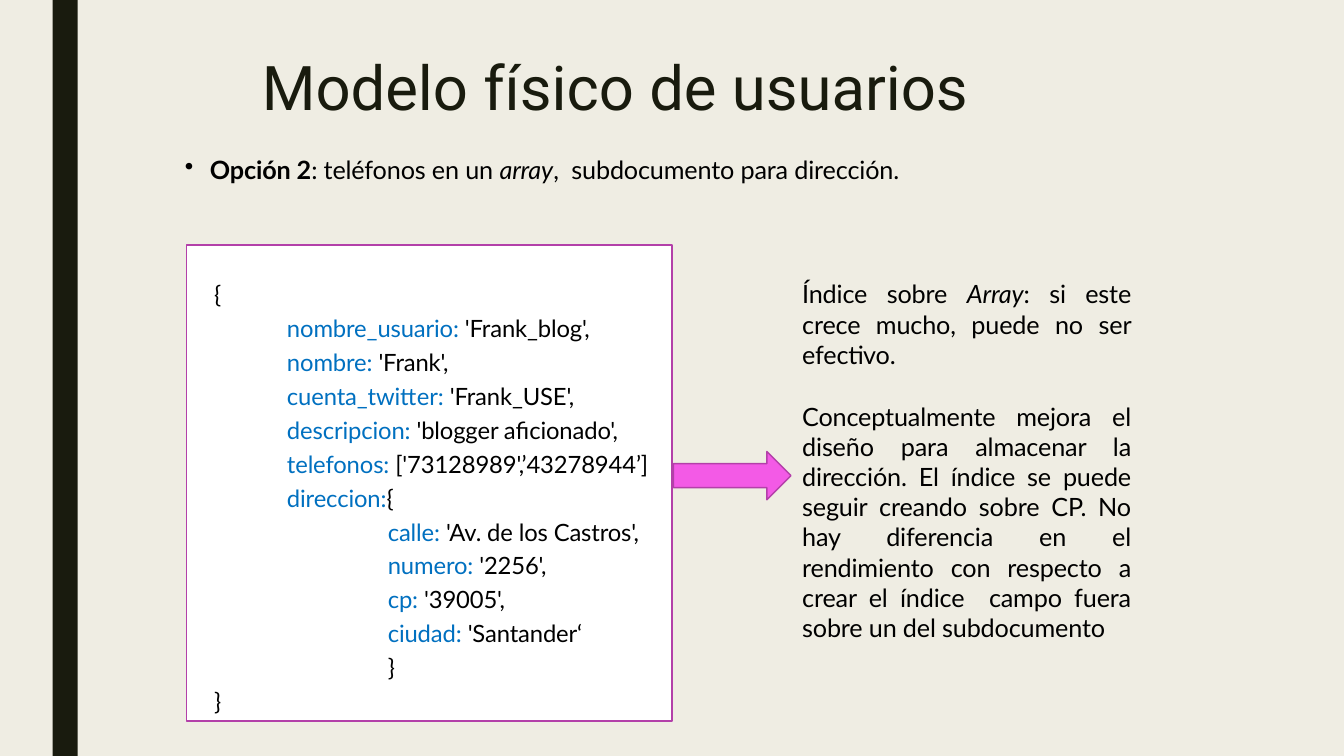
from lxml import etree
from pptx import Presentation
from pptx.dml.color import RGBColor
from pptx.enum import shapes, text
from pptx.oxml.ns import qn
from pptx.util import Pt

HUES = {"back": "EFEDE3", "dark": "191B0E", "ink": "000000", "key": "0070C0",
        "paper": "FFFFFF", "edge": "B340A9", "arrow": "F35AE6"}


def hue(name):
    return RGBColor.from_string(HUES[name])


def put(par, words, size=18, face="Lato", color="ink", bold=False,
        slant=False, track=-10):
    """Add one run; track is letter spacing in hundredths of a point."""
    run = par.add_run()
    run.text = words
    font = run.font
    font.size, font.name = Pt(size), face
    font.bold, font.italic = bold, slant
    font.color.rgb = hue(color)
    if track:
        run._r.get_or_add_rPr().set("spc", str(track))


class Page:
    def __init__(self, deck):
        self.slide = deck.slides.add_slide(deck.slide_layouts[6])
        fill = self.slide.background.fill
        fill.solid()
        fill.fore_color.rgb = hue("back")

    def frame(self, item, inset=0, anchor=text.MSO_ANCHOR.TOP):
        body = item.text_frame
        body.word_wrap = True
        body.margin_left = body.margin_right = body.margin_bottom = 0
        body.margin_top = Pt(inset)
        body.vertical_anchor = anchor
        return body

    def box(self, left, top, width, height, **style):
        item = self.slide.shapes.add_textbox(
            Pt(left), Pt(top), Pt(width), Pt(height))
        return self.frame(item, **style)

    def shape(self, kind, left, top, width, height, fill, line=None):
        item = self.slide.shapes.add_shape(
            kind, Pt(left), Pt(top), Pt(width), Pt(height))
        item.shadow.inherit = False
        item.fill.solid()
        item.fill.fore_color.rgb = hue(fill)
        if line:
            item.line.color.rgb = hue(line)
            item.line.width = Pt(1)
        else:
            item.line.fill.background()
        return item

    def par(self, body, first, gap=0, left=0, hang=0,
            align=text.PP_ALIGN.LEFT):
        par = body.paragraphs[0] if first else body.add_paragraph()
        par.alignment = align
        if not first:
            par.space_before = Pt(gap)
        props = par._p.get_or_add_pPr()
        props.set("marL", str(Pt(left)))
        props.set("indent", str(Pt(-hang)))
        if hang:
            etree.SubElement(props, qn("a:buChar")).set("char", "•")
        return par


CODE = [
    (20, "", "{"),
    (72, "nombre_usuario: ", "'Frank_blog',"),
    (72, "nombre: ", "'Frank',"),
    (72, "cuenta_twitter: ", "'Frank_USE',"),
    (72, "descripcion: ", "'blogger aficionado',"),
    (72, "telefonos: ", "['73128989',’43278944’]"),
    (72, "direccion:", "{"),
    (144, "calle: ", "'Av. de los Castros',"),
    (144, "numero: ", "'2256',"),
    (144, "cp: ", "'39005',"),
    (144, "ciudad: ", "'Santander‘"),
    (144, "", "}"),
    (20, "", "}"),
]

NOTES = [
    [("Índice sobre ", False), ("Array", True),
     (": si este crece mucho, puede no ser efectivo.", False)],
    [("Conceptualmente mejora el diseño para almacenar la dirección. "
      "El índice se puede seguir creando sobre CP. No hay diferencia en el "
      "rendimiento con respecto a crear el índice  campo fuera "
      "sobre un del subdocumento", False)],
]


def main():
    deck = Presentation()
    deck.slide_width, deck.slide_height = Pt(960), Pt(540)
    page = Page(deck)
    kinds = shapes.MSO_SHAPE

    # Side bar and title
    page.shape(kinds.RECTANGLE, 37.5, 0, 18, 540, "dark")
    title = page.box(186, 37, 528, 48, anchor=text.MSO_ANCHOR.MIDDLE)
    put(page.par(title, True, left=1), "Modelo físico de usuarios",
        size=44, face="Roboto", color="dark", track=0)

    # Option bullet
    lead = page.par(page.box(131, 110, 589, 23), True, left=19, hang=18)
    put(lead, "Opción 2", bold=True)
    put(lead, ": teléfonos en un ")
    put(lead, "array", slant=True)
    put(lead, ",  subdocumento para dirección.")

    # Document listing
    card = page.shape(kinds.RECTANGLE, 133, 175, 347, 340, "paper", "edge")
    body = page.frame(card, inset=25)
    for row, (left, key, value) in enumerate(CODE):
        par = page.par(body, row == 0, gap=3.8, left=left)
        if key:
            put(par, key, size=17, color="key")
        put(par, value, size=17)

    # Arrow to the remarks
    page.shape(kinds.RIGHT_ARROW, 481, 322.5, 84, 34.5, "arrow", "edge")

    # Remarks
    body = page.box(572, 197, 236, 285, inset=2)
    for row, runs in enumerate(NOTES):
        par = page.par(body, row == 0, gap=22.5, left=1,
                       align=text.PP_ALIGN.JUSTIFY)
        for words, slant in runs:
            put(par, words, slant=slant)

    deck.save("out.pptx")


if __name__ == "__main__":
    main()
